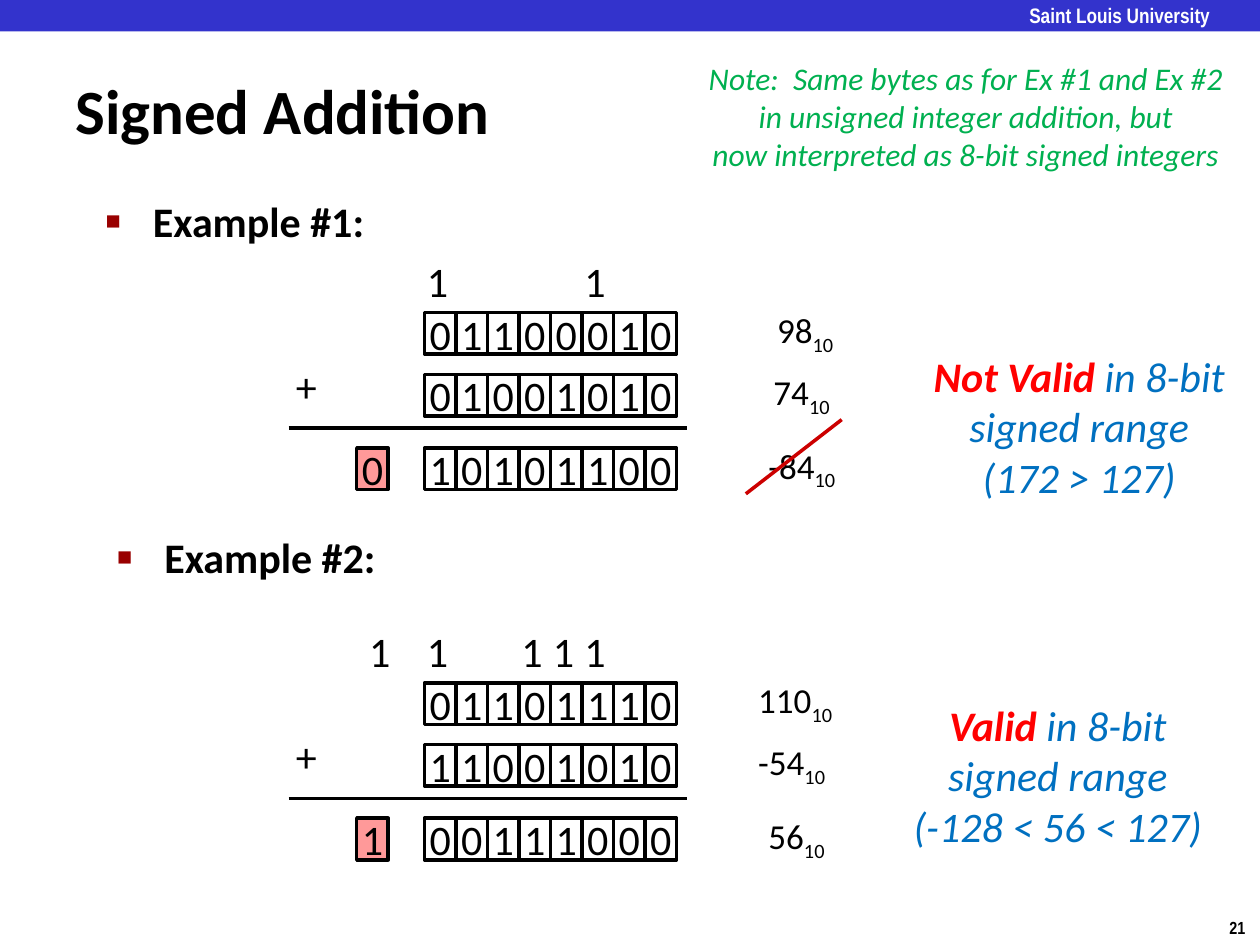
from lxml import etree
from pptx import Presentation
from pptx.dml.color import RGBColor
from pptx.enum import shapes, text
from pptx.oxml import ns
from pptx.util import Pt

BLACK = RGBColor(0x00, 0x00, 0x00)
WHITE = RGBColor(0xFF, 0xFF, 0xFF)
BAR_BLUE = RGBColor(0x33, 0x33, 0xCC)
PINK = RGBColor(0xFF, 0x99, 0x99)
RED = RGBColor(0xFF, 0x00, 0x00)
STRIKE_RED = RGBColor(0xCC, 0x00, 0x00)
BLUE = RGBColor(0x00, 0x70, 0xC0)
GREEN = RGBColor(0x00, 0xB0, 0x50)

BODY = {"name": "Calibri", "size": Pt(24), "bold": False, "italic": False}
NARROW = {"name": "Arial Narrow", "bold": True}
ANSWER = {"italic": True, "color": BLUE}
VERDICT = {"italic": True, "bold": True, "color": RED}
NOTE = {"italic": True, "size": Pt(18), "color": GREEN}
DECIMAL = {"size": Pt(20)}

CELL_W, CELL_H = 18, 23.8
BITS_X, CARRY_OUT_X = 242.6, 203.8
ROW_STEPS = (0, 35.3, 77.4)

# Carries are column numbers; column -1 is the carry out of the byte.
# Each row holds the bits, the decimal value, and its box's left and width.
EXAMPLES = [
    {"top": 178.6, "carries": (0, 5), "carry_out": "0",
     "rows": [("01100010", "98", 437, 49), ("01001010", "74", 434.9, 49),
              ("10101100", "-84", 432, 55)]},
    {"top": 390.2, "carries": (-1, 0, 3, 4, 5), "carry_out": "1",
     "rows": [("01101110", "110", 426.2, 59.2), ("11001010", "-54", 426.2, 55),
              ("00111000", "56", 432, 49)]},
]


def add_run(p, words, style=None, baseline=None):
    r = p.add_run()
    r.text = words
    values = {**BODY, "color": BLACK, **(style or {})}
    r.font.color.rgb = values.pop("color")
    for name, value in values.items():
        setattr(r.font, name, value)
    if baseline:
        r.font._element.set("baseline", str(baseline))


def add_text(s, box, lines, wrap=False, align=text.PP_ALIGN.LEFT, **frame):
    """Add a text box; each line is a list of run arguments."""
    sp = s.shapes.add_textbox(*map(Pt, box))
    tf = sp.text_frame
    format_values = {"word_wrap": wrap, **frame}
    if not wrap:
        format_values["auto_size"] = text.MSO_AUTO_SIZE.SHAPE_TO_FIT_TEXT
    for name, value in format_values.items():
        setattr(tf, name, value)
    for i, runs in enumerate(lines):
        p = tf.add_paragraph() if i else tf.paragraphs[0]
        p.alignment = align
        for run in runs:
            add_run(p, *run)
    return sp


def add_heading(s, x, y, words):
    """Add an example heading with a square bullet."""
    sp = add_text(s, (x, y, 636.5, 36), [[(words, {"bold": True})]], wrap=True)
    pPr = sp.text_frame.paragraphs[0]._p.get_or_add_pPr()
    pPr.set("marL", str(Pt(27)))
    pPr.set("indent", str(-Pt(27)))
    color = etree.SubElement(pPr, ns.qn("a:buClr"))
    etree.SubElement(color, ns.qn("a:srgbClr"), val="990000")
    etree.SubElement(pPr, ns.qn("a:buSzPct"), val="60000")
    etree.SubElement(pPr, ns.qn("a:buFont"), typeface="Arial")
    etree.SubElement(pPr, ns.qn("a:buChar"), char="■")


def add_rect(s, box, fill):
    sp = s.shapes.add_shape(shapes.MSO_SHAPE.RECTANGLE, *map(Pt, box))
    sp.shadow.inherit = False
    sp.fill.solid()
    sp.fill.fore_color.rgb = fill
    sp.line.fill.background()
    return sp


def add_bit(s, x, y, bit, fill=WHITE):
    sp = add_rect(s, (x, y, CELL_W, CELL_H), fill)
    sp.line.color.rgb = BLACK
    sp.line.width = Pt(2)
    tf = sp.text_frame
    tf.word_wrap = False
    tf.vertical_anchor = text.MSO_ANCHOR.MIDDLE
    p = tf.paragraphs[0]
    p.alignment = text.PP_ALIGN.CENTER
    add_run(p, bit)


def add_line(s, ends, color):
    line = s.shapes.add_connector(shapes.MSO_CONNECTOR.STRAIGHT, *map(Pt, ends))
    line.line.color.rgb = color
    line.line.width = Pt(2)
    etree.SubElement(line._element.spPr, ns.qn("a:effectLst"))


def add_sum(s, example):
    """Add a binary addition with its carries and decimal values."""
    top = example["top"]
    for step, (bits, decimal, x, width) in zip(ROW_STEPS, example["rows"]):
        for i, bit in enumerate(bits):
            add_bit(s, BITS_X + i * CELL_W, top + step, bit)
        add_text(s, (x, top + step - 5.8, width, 31.7),
                 [[(decimal, DECIMAL), ("10", DECIMAL, -25000)]])
    add_bit(s, CARRY_OUT_X, top + ROW_STEPS[-1], example["carry_out"], PINK)
    for column in example["carries"]:
        x = CARRY_OUT_X if column < 0 else BITS_X - 5.7 + column * CELL_W
        add_text(s, (x, top - 36, 26.6, 36), [[("1",)]])
    add_text(s, (162, top + 23.8, 26.6, 36.7), [[("+",)]])
    add_line(s, (164.9, top + 66, 392.4, top + 66), BLACK)


def add_answer(s, box, verdict, reason):
    add_text(s, box, [[(verdict, VERDICT), ("in 8-bit", ANSWER)],
                      [("signed range", ANSWER)], [(reason, ANSWER)]],
             align=text.PP_ALIGN.CENTER)


def main():
    prs = Presentation()
    prs.slide_width, prs.slide_height = Pt(720), Pt(540)
    s = prs.slides.add_slide(prs.slide_layouts[6])

    add_rect(s, (0, 0, 720, 18), BAR_BLUE)
    add_text(s, (588.2, 1.4, 120.2, 13.7),
             [[("Saint Louis University",
                {**NARROW, "size": Pt(12), "color": WHITE})]],
             wrap=True, margin_left=0, margin_right=0, margin_top=0,
             margin_bottom=0)
    add_text(s, (695.5, 520.6, 24.5, 19.4),
             [[("21", {**NARROW, "size": Pt(10)})]])

    add_text(s, (36, 40.3, 502.6, 43.9),
             [[("Signed Addition", {"size": Pt(36), "bold": True})]],
             wrap=True, vertical_anchor=text.MSO_ANCHOR.MIDDLE)
    add_text(s, (396, 30.2, 311.8, 72.7),
             [[("Note:  Same bytes as for Ex #1 and Ex #2", NOTE)],
              [("in unsigned integer addition, but", NOTE)],
              [("now interpreted as 8-bit signed integers", NOTE)]],
             align=text.PP_ALIGN.CENTER)

    add_heading(s, 53.3, 108, "Example #1:")
    add_heading(s, 59.8, 300.2, "Example #2:")
    for example in EXAMPLES:
        add_sum(s, example)
    add_line(s, (426.2, 282.2, 481, 239.8), STRIKE_RED)
    add_answer(s, (525.6, 196.6, 182.2, 94.3), "Not Valid ", "(172 > 127)")
    add_answer(s, (514.1, 396, 180.7, 94.3), "Valid ", "(-128 < 56 < 127)")

    prs.save("out.pptx")


if __name__ == "__main__":
    main()
